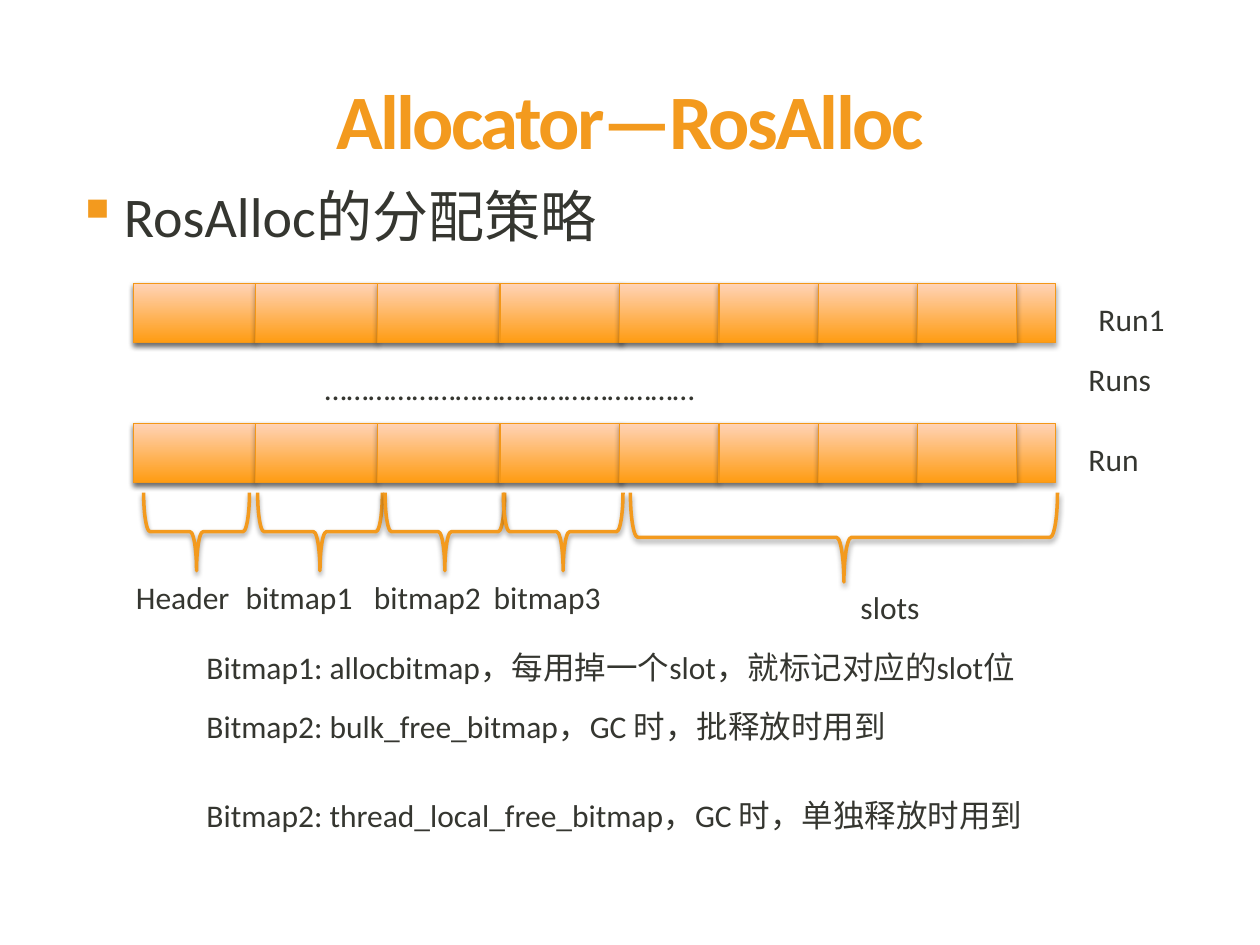
from lxml import etree
from pptx import Presentation
from pptx.dml.color import RGBColor
from pptx.enum import shapes, text
from pptx.oxml.ns import qn
from pptx.util import Pt

COLORS = {"orange": "F39A1E", "edge": "F39718", "deep": "FF9C12",
          "pale": "FFD3B7", "ink": "353630", "shade": "000000"}


def add_text(words, left, top, width, height, size=18, color="ink", **extra):
    box = page.shapes.add_textbox(Pt(left), Pt(top), Pt(width), Pt(height))
    box.text_frame.word_wrap = True
    para = box.text_frame.paragraphs[0]
    span = para.add_run()
    span.text = words
    span.font.color.rgb = RGBColor.from_string(COLORS[color])
    for name, value in {"name": "Calibri", "size": Pt(size), **extra}.items():
        setattr(span.font, name, value)
    return box, para, span


def add_shadow(shape, distance, alpha):
    shape.shadow.inherit = False
    effects = shape._element.spPr.find(qn("a:effectLst"))
    outer = etree.SubElement(effects, qn("a:outerShdw"), blurRad=str(Pt(3.1)),
                             dist=str(Pt(distance)), dir="5400000", rotWithShape="0")
    shade = etree.SubElement(outer, qn("a:srgbClr"), val=COLORS["shade"])
    etree.SubElement(shade, qn("a:alpha"), val=str(alpha * 1000))


deck = Presentation()
deck.slide_width, deck.slide_height = Pt(720), Pt(540)
page = deck.slides.add_slide(deck.slide_layouts[6])

box, para, span = add_text("Allocator—RosAlloc", 36, 48.2, 648, 89.3, 44, "orange", bold=True)
para.alignment = text.PP_ALIGN.CENTER
para.line_spacing = 0.8
span._r.get_or_add_rPr().set("spc", "-150")

box, para, span = add_text("RosAlloc的分配策略", 36.7, 100.1, 648, 337.7, 32)
layout = para._p.get_or_add_pPr()
for name, value in {"marL": Pt(27), "indent": Pt(-27)}.items():
    layout.set(name, str(value))
bullet_color = etree.SubElement(layout, qn("a:buClr"))
etree.SubElement(bullet_color, qn("a:srgbClr"), val=COLORS["orange"])
etree.SubElement(layout, qn("a:buChar"), char="▪")

LABELS = [
    ("slots", 484.6, 332.6, 51.1),
    ("Bitmap1: allocbitmap，每用掉一个slot，就标记对应的slot位", 110.9, 366.5, 504.7),
    ("Bitmap2: bulk_free_bitmap，GC 时，批释放时用到", 110.9, 400.3, 504.7),
    ("Bitmap2: thread_local_free_bitmap，GC 时，单独释放时用到", 110.9, 451.4, 504.7),
    ("……………………………………………", 178.6, 207.4, 232.6),
    ("Header", 70.6, 326.9, 67.7),
    ("bitmap1", 133.2, 326.9, 118.8),
    ("bitmap2", 206.6, 326.9, 113),
    ("bitmap3", 275, 326.9, 113),
    ("Run1", 620.6, 167.8, 65.5),
    ("Runs", 614.9, 202.3, 70.6),
    ("Run", 614.9, 247.7, 70.6),
]
for words, left, top, width in LABELS:
    box, para, span = add_text(words, left, top, width, 28.8)
    box.text_frame.auto_size = text.MSO_AUTO_SIZE.SHAPE_TO_FIT_TEXT

BAR_LEFT, SLOTS_LEFT = 76.3, 354.2
cells = [(BAR_LEFT, 527)]
cells += [(BAR_LEFT + 69.8 * step, 69.8) for step in range(4)]
cells += [(SLOTS_LEFT + 56.7 * step, 56.7) for step in range(4)]
for top in (162, 241.9):
    for left, width in cells:
        cell = page.shapes.add_shape(shapes.MSO_SHAPE.RECTANGLE,
                                     Pt(left), Pt(top), Pt(width), Pt(33.8))
        cell.fill.gradient()
        cell.fill.gradient_angle = 90
        for stop, position, color in zip(cell.fill.gradient_stops, (0, 1), ("deep", "pale")):
            stop.position = position
            stop.color.rgb = RGBColor.from_string(COLORS[color])
        cell.line.color.rgb = RGBColor.from_string(COLORS["edge"])
        cell.line.width = Pt(0.75)
        add_shadow(cell, 1.8, 35)

BRACE_TOP = 281.5
BRACES = [(82.1, 60.5, 44.6), (147.2, 71.3, 44.6), (220, 68.4, 44.6),
          (287.6, 68.4, 44.6), (360.2, 244.1, 51.1)]
for left, length, depth in BRACES:
    shift = (length - depth) / 2
    brace = page.shapes.add_shape(shapes.MSO_SHAPE.LEFT_BRACE, Pt(left + shift),
                                  Pt(BRACE_TOP - shift), Pt(depth), Pt(length))
    brace.rotation = 270
    brace.fill.background()
    brace.line.color.rgb = RGBColor.from_string(COLORS["orange"])
    brace.line.width = Pt(2)
    add_shadow(brace, 1.6, 38)

deck.save("out.pptx")
